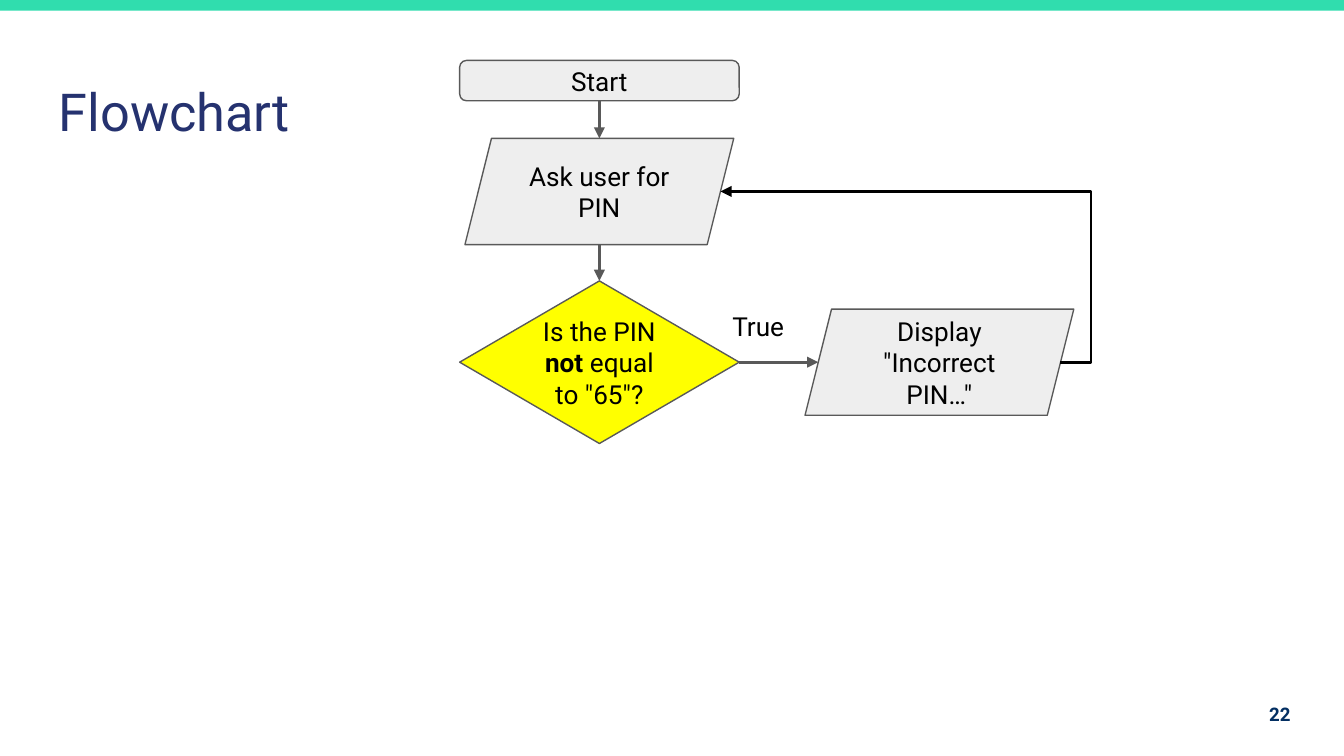
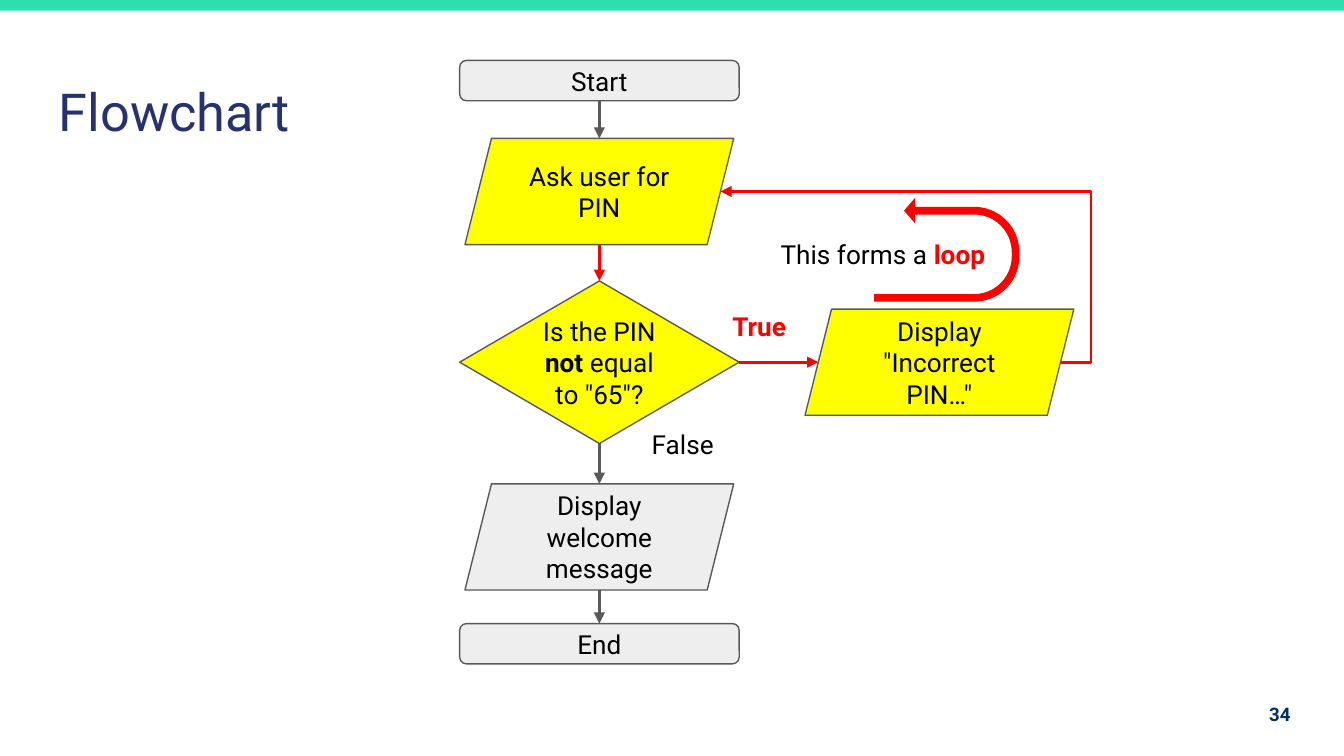
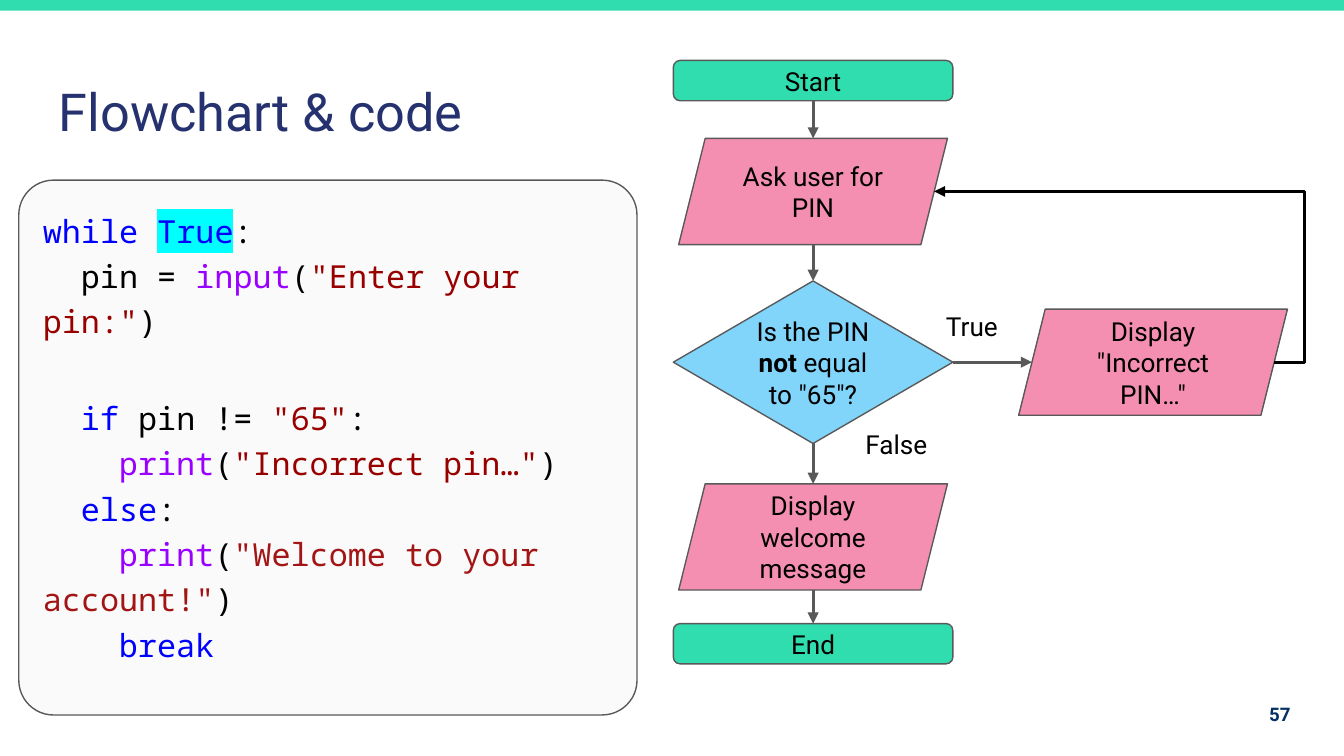
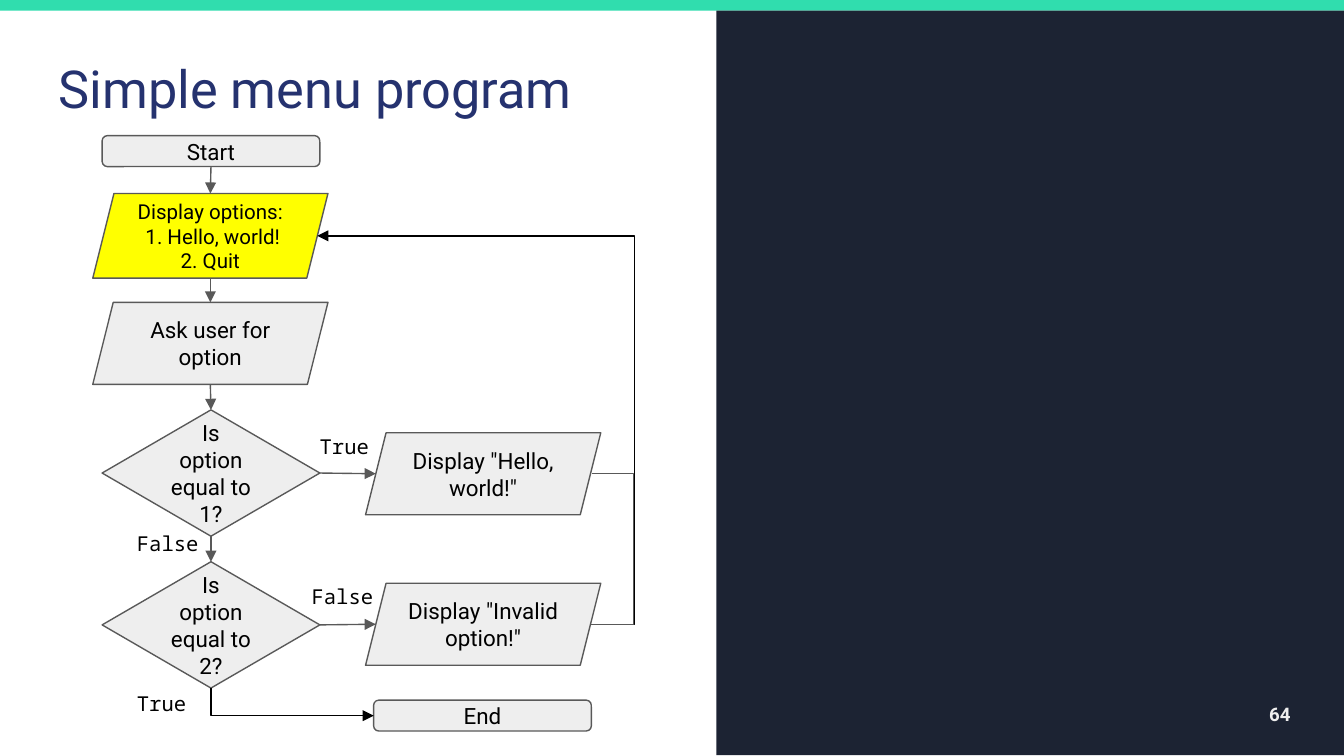
from lxml import etree
from pptx import Presentation
from pptx import util as u
from pptx.dml.color import RGBColor
from pptx.enum import shapes, text
from pptx.oxml.ns import qn

SANS, MONO = "Roboto", "Noto Sans Mono"
TEAL, NAVY, INK, DARK = "30DDAE", "25326F", "032F62", "1C2333"
GREY, EDGE, BLACK = "EEEEEE", "595959", "000000"
YELLOW, RED, PINK, SKY = "FFFF00", "FF0000", "F48FB1", "81D4FA"
BLUE, PURPLE, MAROON, BRICK, CYAN = "0000FF", "9900FF", "980000", "A31515", "00FFFF"

KIND = shapes.MSO_SHAPE
SLANTED = KIND.PARALLELOGRAM
LEFT, CENTER, RIGHT = text.PP_ALIGN.LEFT, text.PP_ALIGN.CENTER, text.PP_ALIGN.RIGHT
TOP_SIDE, LEFT_SIDE, BOTTOM_SIDE, RIGHT_SIDE = range(4)


def rgb(value):
    return RGBColor.from_string(value)


# ---- Text ----
def write(sp, paragraphs, size, color=BLACK, font=SANS, align=LEFT,
          bold=False, middle=False):
    """Each paragraph is a string or a list of (text, colour, bold) runs."""
    tf = sp.text_frame
    tf.word_wrap = True
    tf.margin_left = tf.margin_right = u.Inches(0.1)
    tf.margin_top = tf.margin_bottom = u.Inches(0.1)
    tf.vertical_anchor = text.MSO_ANCHOR.MIDDLE if middle else text.MSO_ANCHOR.TOP
    for i, runs in enumerate(paragraphs):
        p = tf.paragraphs[0] if i == 0 else tf.add_paragraph()
        p.alignment = align
        p.font.size, p.font.name = u.Pt(size), font
        p.font.bold, p.font.color.rgb = bold, rgb(color)
        if isinstance(runs, str):
            runs = [(runs, color, bold)]
        for words, run_color, run_bold in runs:
            r = p.add_run()
            r.text = words
            if run_color != color:
                r.font.color.rgb = rgb(run_color)
            if run_bold != bold:
                r.font.bold = run_bold
    return tf


def add_label(s, x, y, w, h, paragraphs, size, **style):
    box = s.shapes.add_textbox(u.Inches(x), u.Inches(y), u.Inches(w), u.Inches(h))
    return write(box, paragraphs, size, **style)


# ---- Shapes and connectors ----
def add_shape(s, kind, x, y, w, h, fill, line=None):
    sp = s.shapes.add_shape(kind, u.Inches(x), u.Inches(y), u.Inches(w), u.Inches(h))
    sp.shadow.inherit = False
    sp.fill.solid()
    sp.fill.fore_color.rgb = rgb(fill)
    if line:
        sp.line.color.rgb = rgb(line)
        sp.line.width = u.Pt(0.75)
    else:
        sp.line.fill.background()
    return sp


def add_node(s, kind, x, y, w, h, fill, paragraphs, size):
    sp = add_shape(s, kind, x, y, w, h, fill, EDGE)
    write(sp, paragraphs, size, align=CENTER, middle=True)
    return sp


def side(sp, n):
    """Middle of a side in inches, allowing for the slant of a parallelogram."""
    x, y, w, h = (v / u.Inches(1) for v in (sp.left, sp.top, sp.width, sp.height))
    inset = h / 8 if sp.auto_shape_type == SLANTED else 0
    return ((x + w / 2, y), (x + inset, y + h / 2),
            (x + w / 2, y + h), (x + w - inset, y + h / 2))[n]


def add_line(s, kind, start, end, color, width, arrow=True):
    c = s.shapes.add_connector(kind, *(u.Inches(v) for v in (*start, *end)))
    c.line.color.rgb = rgb(color)
    c.line.width = u.Pt(width)
    if arrow:
        etree.SubElement(c.line._get_or_add_ln(), qn("a:tailEnd"), type="triangle")
    etree.SubElement(c.element.spPr, qn("a:effectLst"))
    return c


def connect(s, a, a_side, b, b_side, color=EDGE, width=1.5):
    c = add_line(s, shapes.MSO_CONNECTOR.STRAIGHT, side(a, a_side), side(b, b_side),
                 color, width)
    if a.auto_shape_type != SLANTED:
        c.begin_connect(a, a_side)
    if b.auto_shape_type != SLANTED:
        c.end_connect(b, b_side)


def add_return(s, a, b, via_x, color, width, arrow=True):
    """Line from the right of a, out to via_x, and back to the right of b."""
    start, end = side(a, RIGHT_SIDE), side(b, RIGHT_SIDE)
    if abs(end[0] - start[0]) < 0.01:
        end = (start[0] + 0.01, end[1])
    c = add_line(s, shapes.MSO_CONNECTOR.ELBOW, start, end, color, width, arrow)
    bend = round((via_x - start[0]) / (end[0] - start[0]) * 100000)
    guides = c.element.spPr.find(qn("a:prstGeom")).get_or_add_avLst()
    etree.SubElement(guides, qn("a:gd"), name="adj1", fmla=f"val {bend}")


def add_corner(s, start, end, color, width):
    """Line that runs down from start and then right to end."""
    (x1, y1), (x2, y2) = start, end
    mid_x, mid_y, w, h = (x1 + x2) / 2, (y1 + y2) / 2, y2 - y1, x2 - x1
    c = add_line(s, shapes.MSO_CONNECTOR.ELBOW, (mid_x - w / 2, mid_y - h / 2),
                 (mid_x + w / 2, mid_y + h / 2), color, width)
    c.element.spPr.find(qn("a:prstGeom")).set("prst", "bentConnector2")
    xfrm = c.element.spPr.xfrm
    xfrm.set("rot", str(270 * 60000))
    xfrm.set("flipH", "1")


# ---- Shared frame ----
def new_slide(prs, title, number, title_y=0.49, dark_panel=False):
    s = prs.slides.add_slide(prs.slide_layouts[6])
    add_shape(s, KIND.RECTANGLE, -0.01, 0, 10.02, 0.08, TEAL)
    if dark_panel:
        add_shape(s, KIND.RECTANGLE, 5.33, 0.08, 4.67, 5.54, DARK)
    add_label(s, 0.34, title_y, 9.32, 0.63, [title], 28, color=NAVY)
    add_label(s, 9.1, 5.1, 0.6, 0.43, [number], 10, align=RIGHT, bold=True,
              middle=True, color=GREY if dark_panel else INK)
    return s


# ---- PIN flowchart ----
def pin_flow(s, x, y, ends=GREY, steps=GREY, loop_steps=GREY, test=YELLOW,
             loop=EDGE, back=BLACK, complete=True):
    def terminal(dy, words):
        return add_node(s, KIND.ROUNDED_RECTANGLE, x, y + dy, 2.08, 0.3, ends, [words], 14)

    def step(dx, dy, words, fill):
        return add_node(s, SLANTED, x + dx, y + dy, 2, 0.79, fill, [words], 14)

    start = terminal(0, "Start")
    ask = step(0.04, 0.58, "Ask user for PIN", loop_steps)
    question = [("Is the PIN ", BLACK, False), ("not", BLACK, True),
                (' equal to "65"?', BLACK, False)]
    check = add_node(s, KIND.DIAMOND, x, y + 1.64, 2.08, 1.21, test, [question], 14)
    wrong = step(2.57, 1.85, 'Display "Incorrect PIN…"', loop_steps)

    connect(s, start, BOTTOM_SIDE, ask, TOP_SIDE)
    connect(s, ask, BOTTOM_SIDE, check, TOP_SIDE, loop)
    connect(s, check, RIGHT_SIDE, wrong, LEFT_SIDE, loop)
    add_return(s, wrong, ask, x + 4.7, back, 1.5)
    marked = loop == RED
    add_label(s, x + 1.93, y + 1.76, 0.71, 0.48, ["True"], 14,
              color=RED if marked else BLACK, bold=marked)

    if complete:
        welcome = step(0.04, 3.15, "Display welcome message", steps)
        end = terminal(4.19, "End")
        connect(s, check, BOTTOM_SIDE, welcome, TOP_SIDE)
        connect(s, welcome, BOTTOM_SIDE, end, TOP_SIDE)
        add_label(s, x + 1.33, y + 2.64, 0.71, 0.48, ["False"], 14)


def loop_note(s, x, y):
    turn = add_shape(s, KIND.U_TURN_ARROW, x + 0.95, y, 0.77, 1.08, RED)
    for i, value in enumerate((0.074, 0.12, 0.104, 0.438, 0.795)):
        turn.adjustments[i] = value
    turn.rotation = 90
    turn.element.spPr.xfrm.set("flipH", "1")
    add_label(s, x, y + 0.35, 1.78, 0.48,
              [[("This forms a ", BLACK, False), ("loop", RED, True)]], 14)


# ---- Code panel ----
CODE = [  # indent level, coloured pieces
    (0, [("while ", BLUE), ("True", BLUE), (":", BLACK)]),
    (1, [("pin = ", BLACK), ("input", PURPLE), ("(", BLACK),
         ('"Enter your pin:"', MAROON), (")", BLACK)]),
    (1, [("if", BLUE), (" pin != ", BLACK), ('"65"', MAROON), (":", BLACK)]),
    (2, [("print", PURPLE), ("(", BLACK), ('"Incorrect pin…"', MAROON), (")", BLACK)]),
    (1, [("else", BLUE), (":", BLACK)]),
    (2, [("print", PURPLE), ("(", BLACK), ('"Welcome to your account!"', BRICK),
         (")", BLACK)]),
    (2, [("break", BLUE)]),
]


def highlight(r, color):
    mark = etree.Element(qn("a:highlight"))
    etree.SubElement(mark, qn("a:srgbClr"), val=color)
    r.font.color.rgb = rgb(BLUE)
    r.font._element.find(qn("a:solidFill")).addnext(mark)


def code_panel(s, x, y):
    panel = add_shape(s, KIND.ROUNDED_RECTANGLE, x, y, 4.6, 3.98, "FAFAFA", EDGE)
    panel.adjustments[0] = 0.065
    lines = [[(words, color, False) for words, color in pieces] for _, pieces in CODE]
    tf = add_label(s, x + 0.08, y + 0.08, 4.52, 3.91, lines, 17, font=MONO)
    for p, (level, _) in zip(tf.paragraphs, CODE):
        p.line_spacing = 1.19
        pPr = p._p.get_or_add_pPr()
        pPr.set("marL", "0")
        pPr.set("indent", str(u.Pt(20.4 * level)))
    tf.paragraphs[2].space_before = u.Pt(27.6)
    highlight(tf.paragraphs[0].runs[1], CYAN)


# ---- Menu flowchart ----
def menu_flow(s, x, y):
    def terminal(dx, dy, words):
        return add_node(s, KIND.ROUNDED_RECTANGLE, x + dx, y + dy, 1.62, 0.23, GREY,
                        [words], 12)

    def step(dx, dy, words):
        return add_node(s, SLANTED, x + dx, y + dy, 1.75, 0.61, GREY, [words], 12)

    def test(dy, words):
        return add_node(s, KIND.DIAMOND, x + 0.07, y + dy, 1.62, 0.94, GREY, [words], 12)

    start = terminal(0.07, 0, "Start")
    options = add_node(s, SLANTED, x, y + 0.43, 1.75, 0.63, YELLOW,
                       ["Display options:", " 1. Hello, world!", "2. Quit"], 11)
    ask = step(0, 1.24, "Ask user for option")
    first = test(2.04, "Is option equal to 1?")
    second = test(3.17, "Is option equal to 2?")
    hello = step(2.03, 2.21, 'Display "Hello, world!"')
    invalid = step(2.03, 3.33, 'Display "Invalid option!"')
    end = terminal(2.09, 4.2, "End")

    column = [start, options, ask, first, second]
    for upper, lower in zip(column, column[1:]):
        connect(s, upper, BOTTOM_SIDE, lower, TOP_SIDE, width=0.75)
    for check, result in ((first, hello), (second, invalid)):
        connect(s, check, RIGHT_SIDE, result, LEFT_SIDE, width=0.75)
    add_return(s, invalid, options, x + 4.03, BLACK, 0.75)
    add_return(s, invalid, hello, x + 4.03, EDGE, 0.75, arrow=False)
    add_corner(s, side(second, BOTTOM_SIDE), side(end, LEFT_SIDE), BLACK, 0.75)

    for dx, dy, w, words in ((1.59, 2.13, 0.6, "True"), (0.23, 2.85, 0.74, "False"),
                             (0.23, 4.04, 0.6, "True"), (1.53, 3.24, 0.74, "False")):
        add_label(s, x + dx, y + dy, w, 0.39, [words], 11, font=MONO)


def main():
    prs = Presentation()
    prs.slide_width, prs.slide_height = u.Inches(10), u.Inches(5.625)

    s = new_slide(prs, "Flowchart", "22")
    pin_flow(s, 3.42, 0.45, complete=False)

    s = new_slide(prs, "Flowchart", "34")
    pin_flow(s, 3.42, 0.45, loop_steps=YELLOW, loop=RED, back=RED)
    loop_note(s, 5.71, 1.32)

    s = new_slide(prs, "Flowchart & code", "57")
    code_panel(s, 0.14, 1.34)
    pin_flow(s, 5.01, 0.45, ends=TEAL, steps=PINK, loop_steps=PINK, test=SKY)

    s = new_slide(prs, "Simple menu program", "64", title_y=0.32, dark_panel=True)
    menu_flow(s, 0.69, 1.01)

    prs.save("out.pptx")


if __name__ == "__main__":
    main()
